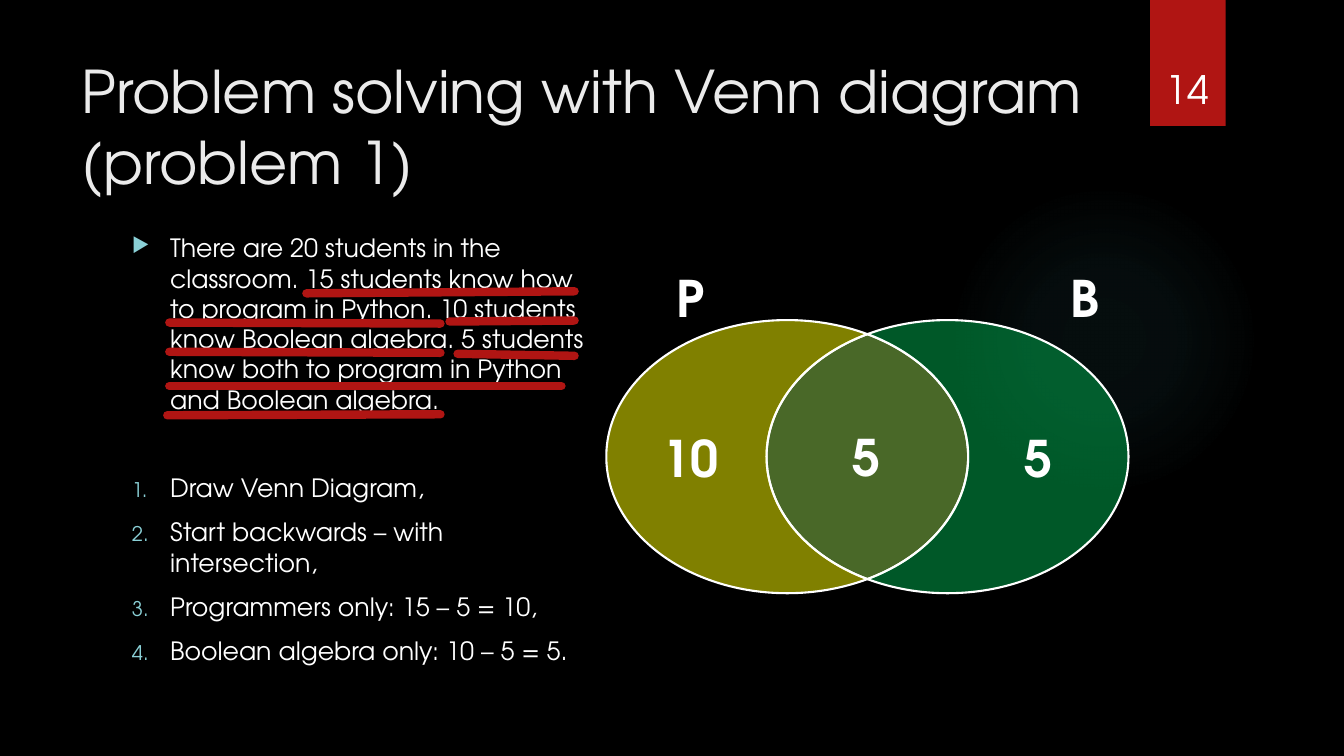
from math import acos, cos, pi, sin, tan

from lxml import etree
from pptx import Presentation
from pptx.dml.color import RGBColor
from pptx.enum.shapes import MSO_CONNECTOR, MSO_SHAPE
from pptx.enum.text import MSO_ANCHOR, MSO_AUTO_SIZE, PP_ALIGN
from pptx.oxml.ns import qn
from pptx.util import Inches, Pt

LEFT, CENTER = PP_ALIGN.LEFT, PP_ALIGN.CENTER
TOP, MIDDLE, BOTTOM = MSO_ANCHOR.TOP, MSO_ANCHOR.MIDDLE, MSO_ANCHOR.BOTTOM

# Content
TITLE = "Problem solving with Venn diagram\v(problem 1)"
PAGE = "14"
PROBLEM = (
    "There are 20 students in the classroom. 15 students know how to program "
    "in Python. 10 students know Boolean algebra. 5 students know both to "
    "program in Python and Boolean algebra."
)
STEPS = [
    "Draw Venn Diagram,",
    "Start backwards – with intersection,",
    "Programmers only: 15 – 5 = 10,",
    "Boolean algebra only: 10 – 5 = 5.",
]
VENN_LABELS = [  # text, left, top, width
    ("5", 8.36, 4.18, 0.48),
    ("10", 6.47, 4.19, 0.77),
    ("5", 10.06, 4.19, 0.48),
    ("P", 6.61, 2.6, 0.48),
    ("B", 10.52, 2.6, 0.49),
]
UNDERLINES = [  # start x, start y, end x, end y
    (1.68, 3.83, 5.57, 3.83),
    (1.66, 4.12, 4.37, 4.11),
    (4.54, 3.51, 5.7, 3.53),
    (1.68, 3.2, 4.37, 3.21),
    (3.04, 2.91, 5.7, 2.89),
    (1.68, 3.49, 4.37, 3.5),
    (4.46, 3.19, 5.7, 3.18),
]
GLOW_STOPS = [(0, 7), (36, 6), (69, 0)]  # position %, opacity %

# Style
FONT = "TeX Gyre Adventor"
WHITE, RED, BULLET = "FFFFFF", "B01513", "8AD0D6"
LABEL_FONT = {"size": Pt(36), "bold": True}

# Ellipses of the diagram
P_X, B_X, VENN_Y = 7.81, 9.4, 4.53
RADIUS_X, RADIUS_Y = 3.59 / 2, 2.71 / 2
CROSSING = acos((B_X - P_X) / 2 / RADIUS_X)


def color(value):
    return RGBColor.from_string(value)


def add_xml(parent, tag, **attributes):
    return etree.SubElement(parent, qn(tag), attributes)


def format_font(font, hue=WHITE, **values):
    font.color.rgb = color(hue)
    for name, value in {"name": FONT, **values}.items():
        setattr(font, name, value)


def format_frame(frame, **values):
    for name, value in {"word_wrap": True, "auto_size": MSO_AUTO_SIZE.NONE, **values}.items():
        setattr(frame, name, value)


def add_text(slide, text, box, align, font, **frame_values):
    frame = slide.shapes.add_textbox(*map(Inches, box)).text_frame
    format_frame(frame, **frame_values)
    frame.text = text
    frame.paragraphs[0].alignment = align
    format_font(frame.paragraphs[0].runs[0].font, **font)
    return frame


def add_bullet(paragraph, tag, **attributes):
    properties = paragraph._p.get_or_add_pPr()
    properties.set("marL", str(Inches(0.38)))
    properties.set("indent", str(-Inches(0.38)))
    add_xml(add_xml(properties, "a:buClr"), "a:srgbClr", val=BULLET)
    add_xml(properties, "a:buSzPct", val="80000")
    add_xml(properties, tag, **attributes)


def add_glow(slide):
    glow = slide.shapes.add_shape(MSO_SHAPE.OVAL, *map(Inches, (9.41, 1.83, 3.08, 3.08)))
    glow.shadow.inherit = False
    glow.line.fill.background()
    glow.fill.gradient()
    gradient = glow._element.spPr.find(qn("a:gradFill"))
    for child in list(gradient):
        gradient.remove(child)
    stops = add_xml(gradient, "a:gsLst")
    for position, opacity in GLOW_STOPS:
        stop = add_xml(stops, "a:gs", pos=str(position * 1000))
        hue = add_xml(stop, "a:srgbClr", val="50B9C1")
        add_xml(hue, "a:alpha", val=str(opacity * 1000))
    center = add_xml(gradient, "a:path")
    center.set("path", "circle")
    add_xml(center, "a:fillToRect", l="50000", t="50000", r="50000", b="50000")


def arc(center_x, *angles):
    """Bezier points of an elliptical arc, with one curve between neighbouring angles."""
    def at(angle, pull=0):
        x = cos(angle) - pull * sin(angle)
        y = sin(angle) + pull * cos(angle)
        return Inches(center_x + RADIUS_X * x), Inches(VENN_Y + RADIUS_Y * y)

    points = [at(angles[0])]
    for start, end in zip(angles, angles[1:]):
        pull = 4 / 3 * tan((end - start) / 4)
        points += [at(start, pull), at(end, -pull), at(end)]
    return points


def add_region(slide, outline, hue):
    builder = slide.shapes.build_freeform(*outline[0])
    builder.add_line_segments(outline[1:], close=True)
    region = builder.convert_to_shape()
    # Each three points make one curve
    segments = list(region._element.iter(qn("a:lnTo")))
    for first in range(0, len(segments) - 2, 3):
        curve = etree.Element(qn("a:cubicBezTo"))
        segments[first].addprevious(curve)
        for segment in segments[first:first + 3]:
            curve.append(segment[0])
            segment.getparent().remove(segment)
    region.shadow.inherit = False
    region.fill.solid()
    region.fill.fore_color.rgb = color(hue)
    fill_color = region._element.spPr.find(qn("a:solidFill"))[0]
    add_xml(fill_color, "a:alpha", val="50000")
    region.line.color.rgb = color(WHITE)
    region.line.width = Pt(1.5)


def add_underline(slide, ends):
    stroke = slide.shapes.add_connector(MSO_CONNECTOR.STRAIGHT, *map(Inches, ends))
    stroke.line.color.rgb = color(RED)
    stroke.line.width = Pt(6)
    stroke.line._ln.set("cap", "rnd")
    add_xml(stroke._element.spPr, "a:effectLst")


def main():
    deck = Presentation()
    deck.slide_width, deck.slide_height = Inches(40 / 3), Inches(7.5)
    slide = deck.slides.add_slide(deck.slide_layouts[5])
    slide.background.fill.solid()
    slide.background.fill.fore_color.rgb = color("000000")

    # Backdrop and page number tab
    add_glow(slide)
    tab = slide.shapes.add_shape(MSO_SHAPE.RECTANGLE, *map(Inches, (11.41, 0, 0.75, 1.25)))
    tab.shadow.inherit = False
    tab.fill.solid()
    tab.fill.fore_color.rgb = color(RED)
    tab.line.fill.background()
    add_text(slide, PAGE, (11.32, 0.32, 0.92, 0.84), CENTER, {"size": Pt(28)},
             vertical_anchor=BOTTOM)

    # Title
    title = slide.shapes.title
    title.left, title.top, title.width, title.height = map(Inches, (0.71, 0.48, 10.29, 1.53))
    title.text_frame.text = TITLE
    format_frame(title.text_frame, vertical_anchor=MIDDLE)
    heading = title.text_frame.paragraphs[0]
    heading.alignment = LEFT
    for run in heading.runs:
        format_font(run.font, "EBEBEB", size=Pt(42))

    # Problem and solution steps
    body = add_text(slide, PROBLEM, (1.21, 2.26, 4.81, 4.59), LEFT, {"size": Pt(18)},
                    vertical_anchor=TOP)
    add_bullet(body.paragraphs[0], "a:buChar", char="▶")
    for number, text in enumerate(STEPS):
        step = body.add_paragraph()
        step.text = text
        step.space_before = Pt(10 if number else 41.6)
        format_font(step.runs[0].font, size=Pt(18))
        add_bullet(step, "a:buAutoNum", type="arabicPeriod")

    # Venn diagram
    p_inner = arc(P_X, -CROSSING, 0, CROSSING)
    b_inner = arc(B_X, pi - CROSSING, pi, pi + CROSSING)
    p_outer = arc(P_X, CROSSING, pi / 2, pi, 3 * pi / 2, 2 * pi - CROSSING)
    b_outer = arc(B_X, CROSSING - pi, -pi / 2, 0, pi / 2, pi - CROSSING)
    add_region(slide, p_inner + b_inner[1:], "92D050")
    add_region(slide, p_outer + b_inner[-2::-1], "FFFF00")
    add_region(slide, b_outer + p_inner[-2::-1], "00B050")
    for text, left, top, width in VENN_LABELS:
        add_text(slide, text, (left, top, width, 0.71), CENTER, LABEL_FONT, word_wrap=False)

    # Red underlines
    for ends in UNDERLINES:
        add_underline(slide, ends)

    deck.save("out.pptx")


if __name__ == "__main__":
    main()
